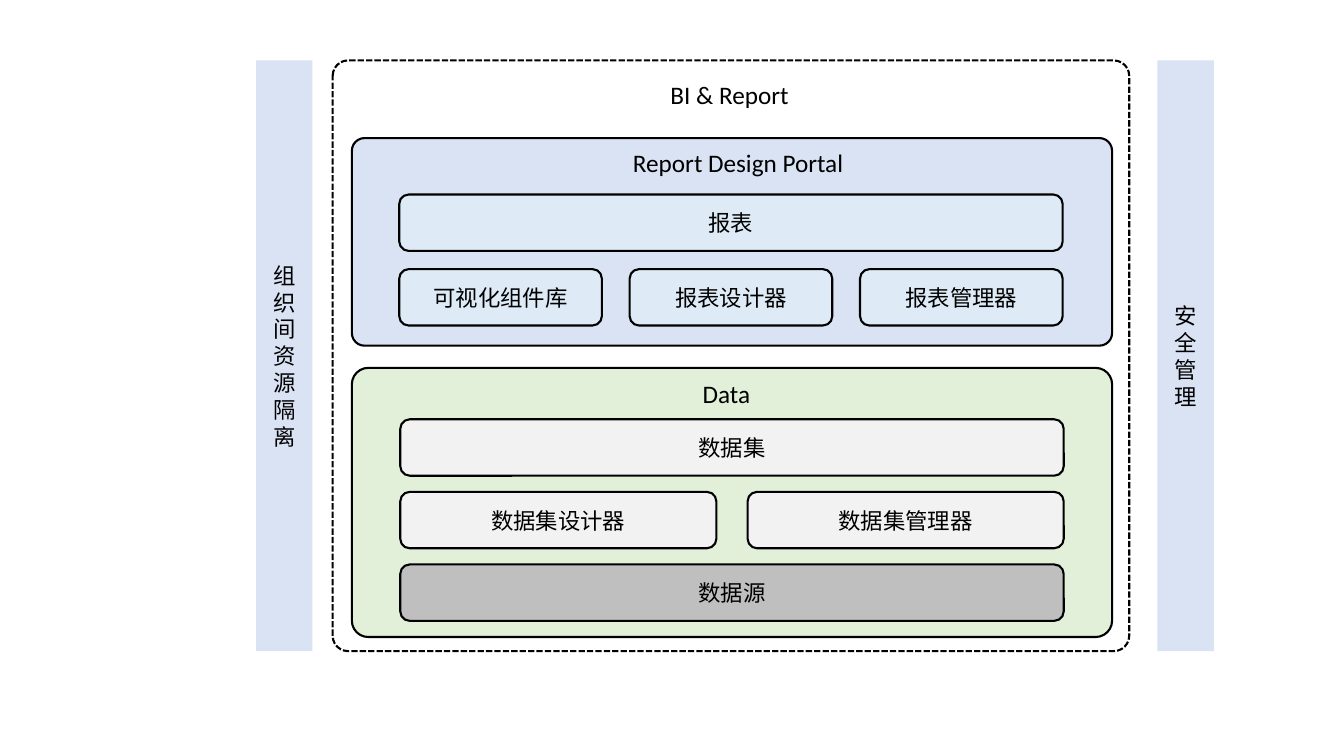
from dataclasses import dataclass

from lxml.etree import SubElement
from pptx import Presentation
from pptx.dml.color import RGBColor
from pptx.enum.dml import MSO_LINE
from pptx.enum.shapes import MSO_SHAPE
from pptx.enum.text import MSO_ANCHOR, PP_ALIGN
from pptx.oxml.ns import qn
from pptx.util import Inches, Pt


@dataclass(frozen=True)
class Theme:
    ink: str = "000000"
    blue: str = "DAE3F3"
    sky: str = "DEEBF7"
    green: str = "E2F0D9"
    pale: str = "F2F2F2"
    gray: str = "BFBFBF"
    latin: str = "Calibri"
    hans: str = "Noto Sans CJK SC"
    head: int = 18
    body: int = 16
    line: float = 1.5


CELL = 0.1  # inches per grid column and row
CARD = 5.6  # height of a card and width of a side bar


def assign(item, values):
    for name, value in values.items():
        setattr(item, name, value)


class Board:
    def __init__(self, slide, theme):
        self.slide, self.theme = slide, theme

    def place(self, box):
        return [Inches(n * CELL) for n in box]

    def letter(self, shape, text, size, face, align, anchor):
        frame = shape.text_frame
        assign(frame, {"word_wrap": True, "vertical_anchor": anchor})
        part = frame.paragraphs[0]
        part.alignment = align
        run = part.add_run()
        run.text = text
        assign(run.font, {"size": Pt(size), "name": face, "bold": False})
        run.font.color.rgb = RGBColor.from_string(self.theme.ink)
        SubElement(run.font._element, qn("a:ea")).set("typeface", face)

    def shape(self, kind, box, fill=None, line=True, curve=None, dash=None):
        item = self.slide.shapes.add_shape(kind, *self.place(box))
        item.shadow.inherit = False
        if curve is not None:
            item.adjustments[0] = curve
        if fill:
            item.fill.solid()
            item.fill.fore_color.rgb = RGBColor.from_string(fill)
        else:
            item.fill.background()
        if line:
            item.line.color.rgb = RGBColor.from_string(self.theme.ink)
            assign(item.line, {"width": Pt(self.theme.line), "dash_style": dash})
        else:
            item.line.fill.background()
        return item

    def panel(self, box, curve, fill=None, dash=None):
        self.shape(MSO_SHAPE.ROUNDED_RECTANGLE, box, fill, True, curve, dash)

    def label(self, item, text):
        self.letter(item, text, self.theme.body, self.theme.hans,
                    PP_ALIGN.CENTER, MSO_ANCHOR.MIDDLE)

    def cards(self, names, left, top, span, gap, fill):
        width = (span - gap * (len(names) - 1)) / len(names)
        for i, name in enumerate(names):
            box = (left + i * (width + gap), top, width, CARD)
            self.label(self.shape(MSO_SHAPE.ROUNDED_RECTANGLE, box, fill), name)

    def bar(self, text, box):
        self.label(self.shape(MSO_SHAPE.RECTANGLE, box, self.theme.blue, False), text)

    def head(self, item, text):
        self.letter(item, text, self.theme.head, self.theme.latin,
                    PP_ALIGN.LEFT, MSO_ANCHOR.TOP)

    def note(self, text, box):
        self.head(self.slide.shapes.add_textbox(*self.place(box)), text)

    def title(self, text, box):
        item = self.slide.shapes.title
        names = ("left", "top", "width", "height")
        assign(item, dict(zip(names, self.place(box))))
        self.head(item, text)


def main():
    deck = Presentation()
    assign(deck, {"slide_width": Inches(13.33), "slide_height": Inches(7.5)})
    theme = Theme()
    board = Board(deck.slides.add_slide(deck.slide_layouts[5]), theme)
    top, tall = 6, 58.6

    # Outer frame and title
    board.title("BI & Report", (65.5, 7.4, 17.3, 4))
    board.panel((33, top, 79, tall), 0.026, dash=MSO_LINE.SQUARE_DOT)

    # Side bars
    for text, left in (("组织间资源隔离", 25.4), ("安全管理", 114.8)):
        board.bar(text, (left, top, CARD, tall))

    # Panels: heading, its box, panel top and height, fill,
    # then first card row, row step, left edge, gap and rows of cards
    panels = (
        ("Report Design Portal", (61.8, 14.1, 24.7, 4), 13.7, 20.6, theme.blue,
         19.3, 7.4, 39.6, 2.75,
         ((theme.sky, ["报表"]),
          (theme.sky, ["可视化组件库", "报表设计器", "报表管理器"]))),
        ("Data", (68.7, 37, 14.9, 4), 36.5, 26.7, theme.green,
         41.6, 7.2, 39.7, 3.1,
         ((theme.pale, ["数据集"]),
          (theme.pale, ["数据集设计器", "数据集管理器"]),
          (theme.gray, ["数据源"]))),
    )
    for text, box, y, high, fill, first, step, left, gap, rows in panels:
        board.panel((34.9, y, 75.4, high), 0.061, fill)
        board.note(text, box)
        for i, (tone, names) in enumerate(rows):
            board.cards(names, left, first + i * step, 65.8, gap, tone)

    deck.save("out.pptx")


if __name__ == "__main__":
    main()
